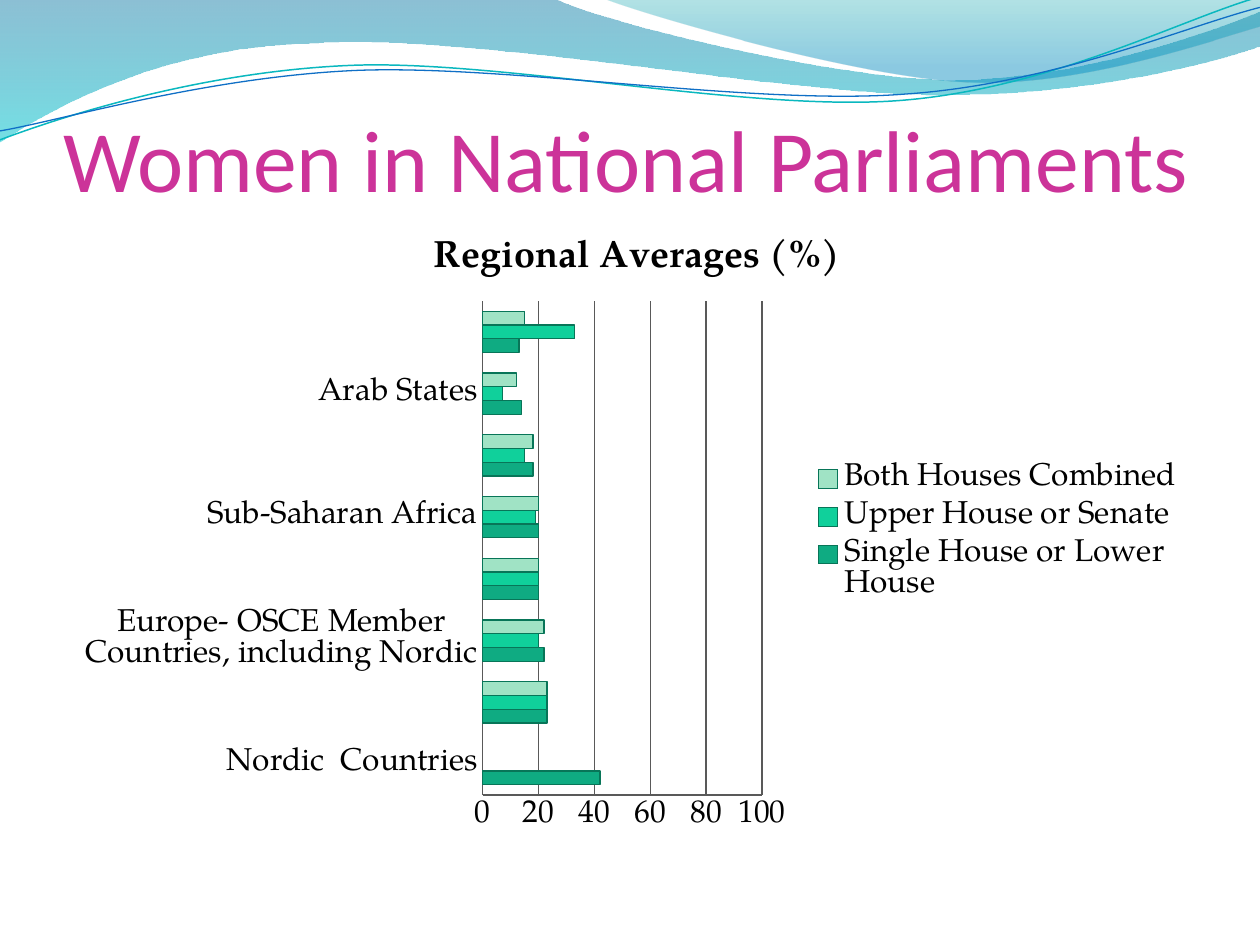
"""Build the slide on women in national parliaments by region."""
from lxml.etree import SubElement
from pptx import Presentation
from pptx.chart.data import CategoryChartData
from pptx.dml.color import RGBColor
from pptx.enum.chart import XL_CHART_TYPE, XL_LEGEND_POSITION, XL_TICK_MARK
from pptx.enum.text import MSO_ANCHOR, MSO_AUTO_SIZE, PP_ALIGN
from pptx.oxml.ns import qn
from pptx.util import Cm, Pt

HEADING = "Women in National Parliaments"
CHART_HEADING = "Regional Averages (%)"
CHART_FONT = "TeX Gyre Pagella"
REGIONS = [
    "Nordic  Countries",
    "Americas",
    "Europe- OSCE Member Countries, including Nordic",
    "Europe- OSCE Member Countries, excluding Nordic",
    "Sub-Saharan Africa",
    "Asia",
    "Arab States",
    "Pacific",
]
HOUSES = [
    ("Single House or Lower House", "0FAB82", [42, 23, 22, 20, 20, 18, 14, 13]),
    ("Upper House or Senate", "10D09B", [None, 23, 20, 20, 19, 15, 7, 33]),
    ("Both Houses Combined", "A0E3C5", [None, 23, 22, 20, 20, 18, 12, 15]),
]
BAR_EDGE, GRID = "087558", "595959"
CHART_WIDTH, CHART_HEIGHT = Cm(22.86), Cm(12.57)
PLOT_PLACE = {"x": Cm(8.46), "y": Cm(1.62), "w": Cm(5.63), "h": Cm(9.96)}
CHART_HEADING_PLACE = {"x": Cm(7.34), "y": Cm(0.15)}

BANDS = [
    ([(0, "0074A1", 45), (1, "00C6CF", 55)],
     [[(0, 0)], [(11.18, -0.03)],
      [(12.09, 0.43), (16.87, 1.6), (19.25, 1.6)],
      [(21.67, 1.6), (24.33, 0.66), (25.4, 0.23)], [(25.43, 0.91)],
      [(24.97, 1.12), (22.1, 1.93), (18.95, 1.91)],
      [(15.8, 1.91), (9.7, 0.71), (6.53, 0.86)],
      [(3.28, 0.91), (1.17, 2.11), (-0.03, 2.87)], [(0, 0)]]),
    ([(0, "00A1A9", 30), (0.8, "008BBF", 45)],
     [[(12.17, -0.03)],
      [(12.93, 0.28), (17.32, 1.57), (19.53, 1.65)],
      [(21.74, 1.75), (24.41, 0.81), (25.4, 0.53)], [(25.4, 0)],
      [(12.17, -0.03)]]),
]
RIPPLES = [
    ("0AB8BF", 0.85,
     [[(0, 2.82)], [(1.22, 2.36), (4.01, 1.45), (7.04, 1.32)],
      [(10.03, 1.19), (15.06, 2.26), (18.11, 2.03)],
      [(21.16, 1.8), (23.83, 0.38), (25.35, -0.05)]]),
    ("0F6FC6", 0.75,
     [[(0, 2.64)], [(1.19, 2.44), (4.17, 1.55), (7.19, 1.42)],
      [(10.24, 1.3), (15.16, 2.13), (18.21, 1.9)],
      [(21.23, 1.7), (23.9, 0.53), (25.4, 0.15)]]),
]


def paint(color_format, hex_color):
    color_format.rgb = RGBColor.from_string(hex_color)


def style(font, size, name, color, bold=False):
    font.size, font.name, font.bold = Pt(size), name, bold
    paint(font.color, color)


def write(frame, text, align=PP_ALIGN.LEFT, **font_format):
    frame.text = text
    paragraph = frame.paragraphs[0]
    paragraph.alignment = align
    style(paragraph.runs[0].font, **font_format)


def add_outline(slide, segments, close):
    start, *ends = [(Cm(x), Cm(y)) for x, y in (segment[-1] for segment in segments)]
    builder = slide.shapes.build_freeform(*start)
    builder.add_line_segments(ends, close=close)
    outline = builder.convert_to_shape()
    outline.shadow.inherit = False
    sides = list(outline._element.spPr.iter(qn("a:lnTo")))
    for side, segment in zip(sides, segments[1:]):
        if len(segment) == 3:
            curve = side.makeelement(qn("a:cubicBezTo"))
            for x, y in segment:
                SubElement(curve, qn("a:pt"), x=str(Cm(x) - outline.left),
                           y=str(Cm(y) - outline.top))
            side.getparent().replace(side, curve)
    return outline


def add_band(slide, stops, segments):
    band = add_outline(slide, segments, close=True)
    band.line.fill.background()
    band.fill.gradient()
    band.fill.gradient_angle = 270
    for stop, (position, color, _) in zip(band.fill.gradient_stops, stops):
        stop.position = position
        paint(stop.color, color)
    tints = band._element.spPr.iter(qn("a:srgbClr"))
    for tint, (_, _, opacity) in zip(tints, stops):
        SubElement(tint, qn("a:alpha"), val=str(opacity * 1000))
    return band


def add_ripple(slide, color, width, segments):
    ripple = add_outline(slide, segments, close=False)
    ripple.fill.background()
    ripple.line.width = Pt(width)
    paint(ripple.line.color, color)
    return ripple


def add_waves(slide, master):
    waves = [add_band(slide, *band) for band in BANDS]
    ripples = [add_ripple(slide, *ripple) for ripple in RIPPLES]
    waves.append(slide.shapes.add_group_shape(ripples))
    shape_id = 100
    for depth, wave in enumerate(waves, start=2):
        master.shapes._spTree.insert(depth, wave._element)
        for properties in wave._element.iter(qn("p:cNvPr")):
            properties.set("id", str(shape_id))
            shape_id += 1


def add_layout(parent, index, place, target=None):
    for old_layout in parent.findall(qn("c:layout")):
        parent.remove(old_layout)
    layout = parent.makeelement(qn("c:layout"))
    parent.insert(index, layout)
    manual = SubElement(layout, qn("c:manualLayout"))
    if target:
        SubElement(manual, qn("c:layoutTarget"), val=target)
    for side in "xy":
        SubElement(manual, qn(f"c:{side}Mode"), val="edge")
    for side, length in place.items():
        whole = CHART_WIDTH if side in "xw" else CHART_HEIGHT
        SubElement(manual, qn(f"c:{side}"), val=str(length / whole))


def add_averages(slide):
    averages = CategoryChartData()
    averages.categories = REGIONS
    for house, _, shares in HOUSES:
        averages.add_series(house, shares)
    chart = slide.shapes.add_chart(XL_CHART_TYPE.BAR_CLUSTERED, Cm(1.27), Cm(4.45),
                                   CHART_WIDTH, CHART_HEIGHT, averages).chart
    style(chart.font, 18, CHART_FONT, "000000")
    write(chart.chart_title.text_frame, CHART_HEADING, align=PP_ALIGN.CENTER,
          size=21.6, name=CHART_FONT, color="000000", bold=True)
    chart.chart_title.include_in_layout = False
    add_layout(chart.chart_title._element, 1, CHART_HEADING_PLACE)
    add_layout(chart._chartSpace.chart.plotArea, 0, PLOT_PLACE, target="inner")
    chart.has_legend = True
    chart.legend.position = XL_LEGEND_POSITION.RIGHT
    chart.legend.include_in_layout = False

    bars = chart.plots[0]
    bars.gap_width, bars.overlap, bars.vary_by_categories = 150, 0, False
    for series, (_, color, _) in zip(bars.series, HOUSES):
        series.format.fill.solid()
        paint(series.format.fill.fore_color, color)
        paint(series.format.line.color, BAR_EDGE)
        series.format.line.width = Pt(0.75)

    shares_axis = chart.value_axis
    shares_axis.minimum_scale, shares_axis.maximum_scale, shares_axis.major_unit = 0, 100, 20
    shares_axis.has_major_gridlines = True
    paint(shares_axis.major_gridlines.format.line.color, GRID)
    for axis in (chart.category_axis, shares_axis):
        axis.major_tick_mark = axis.minor_tick_mark = XL_TICK_MARK.NONE
        paint(axis.format.line.color, GRID)


def main():
    deck = Presentation()
    deck.slide_width, deck.slide_height = Cm(25.4), Cm(19.05)
    slide = deck.slides.add_slide(deck.slide_layouts[5])
    add_waves(slide, deck.slide_master)

    heading = slide.shapes.title
    heading.left, heading.top, heading.width, heading.height = (
        Cm(1.27), Cm(1.06), Cm(22.86), Cm(3.17))
    frame = heading.text_frame
    frame.margin_left = frame.margin_right = frame.margin_bottom = 0
    frame.margin_top = Cm(0.13)
    frame.vertical_anchor, frame.auto_size = MSO_ANCHOR.BOTTOM, MSO_AUTO_SIZE.NONE
    write(frame, HEADING, size=50, name="Calibri", color="CC3399")

    add_averages(slide)
    deck.save("out.pptx")


if __name__ == "__main__":
    main()
